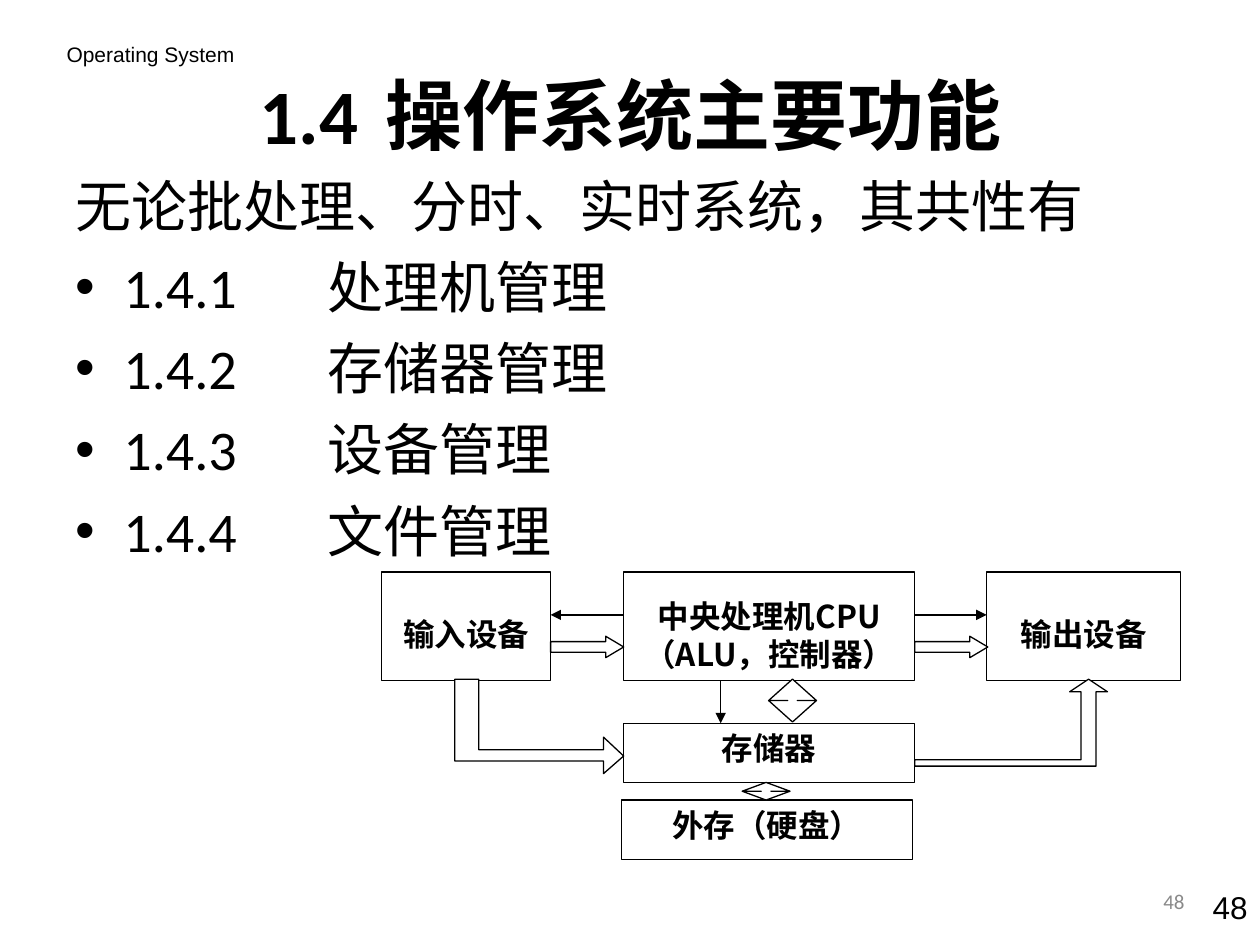
from lxml.etree import SubElement
from pptx import Presentation
from pptx.dml.color import RGBColor
from pptx.enum.shapes import MSO_CONNECTOR, MSO_SHAPE
from pptx.enum.text import MSO_ANCHOR, PP_ALIGN
from pptx.oxml.ns import qn
from pptx.util import Inches, Pt

COLORS = {"ink": "000000", "paper": "FFFFFF", "muted": "898989"}
TITLE_FORMAT = {"name": "Calibri", "size": Pt(44), "bold": True}
BODY_FORMAT = {"name": "Calibri", "size": Pt(32), "bold": False}
BOX_FORMAT = {"name": "Noto Sans CJK SC", "size": Pt(18), "bold": True}
TOPICS = ["处理机管理", "存储器管理", "设备管理", "文件管理"]
LINE_WIDTH = Pt(0.75)
BOX_TOP, BOX_HEIGHT = 4.54, 0.86
BOX_BOTTOM = BOX_TOP + BOX_HEIGHT
STORE_HEIGHT = 0.47
CPU_LEFT, CPU_WIDTH = 4.95, 2.31
CPU_RIGHT = CPU_LEFT + CPU_WIDTH
INPUT_RIGHT, OUTPUT_LEFT = 4.37, 7.83
INPUT_PATH = [(4.95, 6), (4.79, 5.85), (4.79, 5.95), (3.8, 5.95), (3.8, 5.39),
              (3.61, 5.39), (3.61, 6.04), (4.79, 6.04), (4.79, 6.14)]
OUTPUT_PATH = [(8.64, 5.39), (8.49, 5.49), (8.58, 5.49), (8.58, 6.03), (7.26, 6.03),
               (7.26, 6.08), (8.7, 6.08), (8.7, 5.49), (8.79, 5.49)]


def rgb(color):
    return RGBColor.from_string(COLORS[color])


def format_paragraph(paragraph, font_format, color="ink"):
    for run in paragraph.runs:
        for name, value in font_format.items():
            setattr(run.font, name, value)
        run.font.color.rgb = rgb(color)
        east_asian = SubElement(run.font._element, qn("a:ea"))
        east_asian.set("typeface", "Noto Sans CJK SC")


def add_tab(paragraph, position):
    tabs = SubElement(paragraph._p.get_or_add_pPr(), qn("a:tabLst"))
    SubElement(tabs, qn("a:tab"), pos=str(Inches(position)), algn="l")


def place(shape, left, top, width, height):
    for name, value in zip(("left", "top", "width", "height"), (left, top, width, height)):
        setattr(shape, name, Inches(value))


def fill_title(title):
    place(title, 0.51, 0.28, 9, 1.25)
    title.text_frame.text = "1.4\t操作系统主要功能"
    paragraph = title.text_frame.paragraphs[0]
    paragraph.alignment = PP_ALIGN.CENTER
    add_tab(paragraph, 1)
    format_paragraph(paragraph, TITLE_FORMAT)


def fill_body(body):
    place(body, 0.5, 1.31, 9, 5.39)
    topics = [f"1.4.{number}\t{topic}" for number, topic in enumerate(TOPICS, 1)]
    body.text_frame.text = "\n".join(["无论批处理、分时、实时系统，其共性有"] + topics)
    for index, paragraph in enumerate(body.text_frame.paragraphs):
        paragraph.space_before = Pt(8 if index else 0)
        properties = paragraph._p.get_or_add_pPr()
        properties.set("marL", str(Inches(0.38)))
        properties.set("indent", str(Inches(-0.38)))
        if index:
            SubElement(properties, qn("a:buFont"), typeface="Arial")
            SubElement(properties, qn("a:buChar"), char="•")
            add_tab(paragraph, 2)
        else:
            SubElement(properties, qn("a:buNone"))
        format_paragraph(paragraph, BODY_FORMAT)


def add_label(shapes, text, bounds, font, size, alignment, color="ink", anchor=MSO_ANCHOR.TOP):
    label = shapes.add_textbox(*map(Inches, bounds))
    label.text_frame.word_wrap = True
    label.text_frame.vertical_anchor = anchor
    label.text_frame.text = text
    paragraph = label.text_frame.paragraphs[0]
    paragraph.alignment = alignment
    format_paragraph(paragraph, {"name": font, "size": Pt(size)}, color)


def style_outline(shape):
    shape.shadow.inherit = False
    shape.fill.solid()
    shape.fill.fore_color.rgb = rgb("paper")
    shape.line.color.rgb = rgb("ink")
    shape.line.width = LINE_WIDTH


def add_box(shapes, text, left, top, width, height, top_inset=0.05, first_spacing=1.0):
    box = shapes.add_shape(MSO_SHAPE.RECTANGLE, *map(Inches, (left, top, width, height)))
    style_outline(box)
    frame = box.text_frame
    frame.word_wrap = True
    frame.vertical_anchor = MSO_ANCHOR.TOP
    frame.margin_top = Inches(top_inset)
    frame.text = text
    for paragraph in frame.paragraphs:
        paragraph.alignment = PP_ALIGN.CENTER
        format_paragraph(paragraph, BOX_FORMAT)
    frame.paragraphs[0].line_spacing = first_spacing


def add_block_arrow(shapes, kind, bounds, head):
    arrow = shapes.add_shape(kind, *map(Inches, bounds))
    arrow.adjustments[0] = 0.5
    arrow.adjustments[1] = head
    style_outline(arrow)


def add_bent_arrow(shapes, points):
    corners = [(Inches(x), Inches(y)) for x, y in points]
    builder = shapes.build_freeform(*corners[0])
    builder.add_line_segments(corners[1:], close=True)
    style_outline(builder.convert_to_shape())


def add_thin_arrow(shapes, start, end):
    arrow = shapes.add_connector(MSO_CONNECTOR.STRAIGHT, *map(Inches, start + end))
    arrow.line.color.rgb = rgb("ink")
    arrow.line.width = LINE_WIDTH
    SubElement(arrow.line._get_or_add_ln(), qn("a:tailEnd"), type="triangle")
    SubElement(arrow._element.spPr, qn("a:effectLst"))


def add_diagram(shapes):
    add_box(shapes, "中央处理机CPU\n（ALU，控制器）", CPU_LEFT, BOX_TOP, CPU_WIDTH, BOX_HEIGHT,
            first_spacing=1.5)
    add_box(shapes, "存储器", CPU_LEFT, 5.74, CPU_WIDTH, STORE_HEIGHT)
    add_box(shapes, "输出设备", OUTPUT_LEFT, BOX_TOP, 1.54, BOX_HEIGHT, top_inset=0.34)
    add_box(shapes, "输入设备", 3.03, BOX_TOP, 1.34, BOX_HEIGHT, top_inset=0.34)
    add_box(shapes, "外存（硬盘）", 4.93, 6.35, CPU_WIDTH, STORE_HEIGHT)
    for points in (INPUT_PATH, OUTPUT_PATH):
        add_bent_arrow(shapes, points)
    for bounds in ((6.1, 5.39, 0.38, 0.34), (5.89, 6.21, 0.38, 0.14)):
        add_block_arrow(shapes, MSO_SHAPE.UP_DOWN_ARROW, bounds, 0.2)
    for left in (INPUT_RIGHT, CPU_RIGHT):
        add_block_arrow(shapes, MSO_SHAPE.RIGHT_ARROW, (left, 5.05, 0.58, 0.17), 0.84)
    add_thin_arrow(shapes, (5.72, BOX_BOTTOM), (5.72, 5.74))
    add_thin_arrow(shapes, (CPU_LEFT, 4.88), (INPUT_RIGHT, 4.88))
    add_thin_arrow(shapes, (CPU_RIGHT, 4.88), (OUTPUT_LEFT, 4.88))


def main():
    presentation = Presentation()
    presentation.slide_width = Inches(10)
    presentation.slide_height = Inches(7.5)
    slide = presentation.slides.add_slide(presentation.slide_layouts[1])
    fill_title(slide.shapes.title)
    fill_body(slide.placeholders[1])
    add_label(slide.shapes, "Operating System", (0.43, 0.28, 4.1, 0.3), "Arial", 12, PP_ALIGN.LEFT)
    add_diagram(slide.shapes.add_group_shape().shapes)
    add_label(slide.shapes, "48", (9.33, 7, 0.67, 0.4), "Arial", 18, PP_ALIGN.RIGHT)
    add_label(slide.shapes, "48", (7.17, 6.95, 2.33, 0.4), "Calibri", 12, PP_ALIGN.RIGHT,
              "muted", MSO_ANCHOR.MIDDLE)
    presentation.save("out.pptx")


if __name__ == "__main__":
    main()
